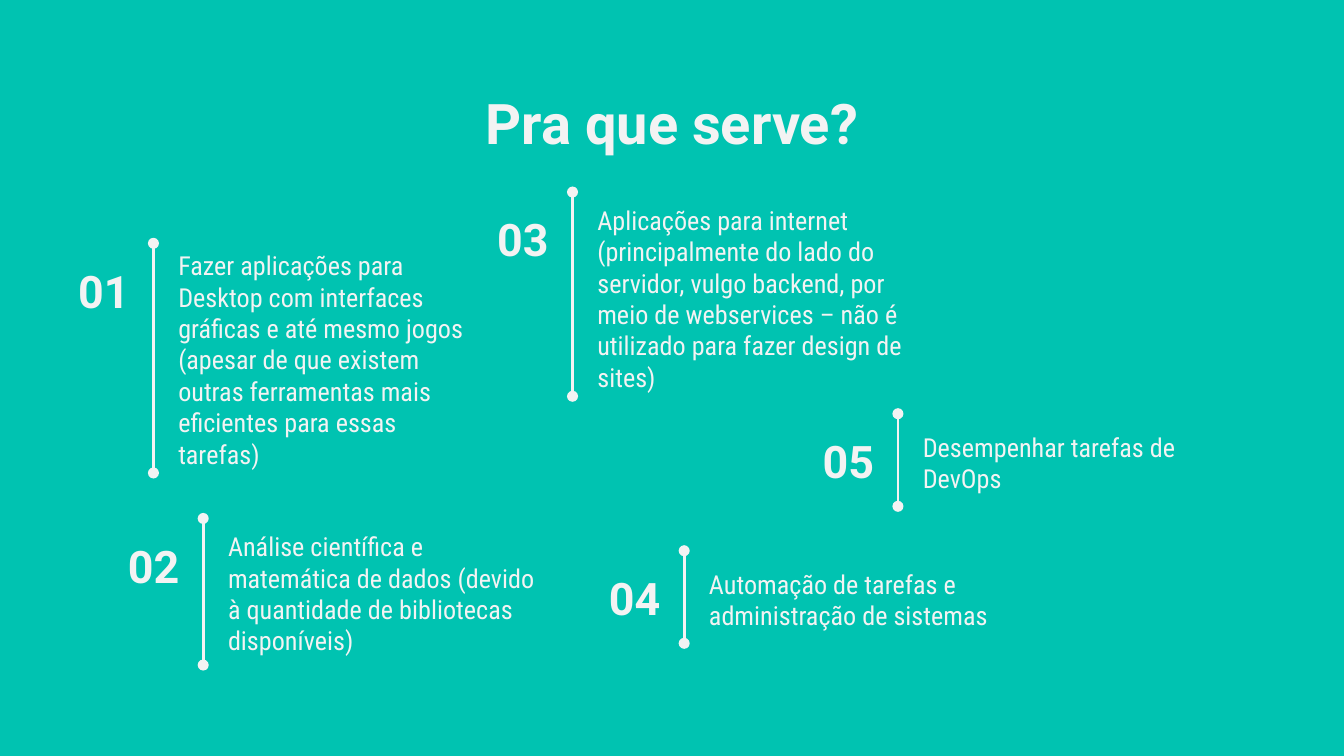
from lxml.etree import SubElement
from pptx import Presentation
from pptx.dml.color import RGBColor
from pptx.enum.shapes import MSO_CONNECTOR
from pptx.enum.text import MSO_ANCHOR, MSO_AUTO_SIZE, PP_ALIGN
from pptx.oxml.ns import qn
from pptx.util import Cm, Pt

TEAL = "00C3B1"
OFF_WHITE = "F3F3F3"

TITLE_FONT = {"name": "Roboto", "size": Pt(30), "bold": True}
NUMBER_FONT = {"name": "Roboto", "size": Pt(24), "bold": True}
BODY_FONT = {"name": "Roboto Condensed", "size": Pt(14), "bold": False}
FRAME = {
    "word_wrap": True,
    "auto_size": MSO_AUTO_SIZE.NONE,
    "margin_left": Cm(0.25),
    "margin_top": Cm(0.25),
    "margin_right": Cm(0.25),
    "margin_bottom": Cm(0.25),
}

# Each use: number, text, box (left, top, rule height), text offset, text height, indent
USES = [
    ("01", "Fazer aplicações para Desktop com interfaces gráficas e até mesmo jogos "
           "(apesar de que existem outras ferramentas mais eficientes para essas tarefas)",
     (1.02, 4.6, 4.34), -0.13, 2.46, 0.41),
    ("02", "Análise científica e matemática de dados (devido à quantidade de "
           "bibliotecas disponíveis)",
     (1.96, 9.8, 2.77), -0.02, 1.8, 0),
    ("03", "Aplicações para internet (principalmente do lado do servidor, vulgo backend, "
           "por meio de webservices – não é utilizado para fazer design de sites)",
     (8.94, 3.63, 3.86), -0.02, 2.24, 0),
    ("04", "Automação de tarefas e administração de sistemas",
     (11.05, 10.41, 1.75), 0.08, 2.08, 0),
    ("05", "Desempenhar tarefas de DevOps",
     (15.09, 7.82, 1.75), 0.08, 2.08, 0),
]


def color(hex_value):
    return RGBColor.from_string(hex_value)


def apply_format(target, values):
    for attribute, value in values.items():
        setattr(target, attribute, value)


def write(holder, text, font, align, anchor):
    frame = holder.text_frame
    apply_format(frame, FRAME | {"vertical_anchor": anchor})
    paragraph = frame.paragraphs[0]
    paragraph.alignment = align
    run = paragraph.add_run()
    run.text = text
    apply_format(run.font, font)
    run.font.color.rgb = color(OFF_WHITE)
    return paragraph


def add_title(slide, left, top, width, height):
    title = slide.shapes.title
    apply_format(title, {"left": Cm(left), "top": Cm(top),
                         "width": Cm(width), "height": Cm(height)})
    write(title, "Pra que serve?", TITLE_FONT, PP_ALIGN.CENTER, MSO_ANCHOR.TOP)


def add_rule(slide, x, top, height):
    rule = slide.shapes.add_connector(
        MSO_CONNECTOR.STRAIGHT, Cm(x), Cm(top), Cm(x), Cm(top + height))
    rule.line.width = Pt(1.5)
    rule.line.color.rgb = color(OFF_WHITE)
    # Round dots at both ends
    outline = rule.line._get_or_add_ln()
    for end in ("a:headEnd", "a:tailEnd"):
        SubElement(outline, qn(end), type="oval", w="med", len="med")
    SubElement(rule._element.spPr, qn("a:effectLst"))


def add_use(slide, number, text, box, text_offset, text_height, indent):
    left, top, height = box
    # Number, left of the rule
    number_box = slide.shapes.add_textbox(Cm(left), Cm(top + 0.3), Cm(1.68), Cm(1.17))
    write(number_box, number, NUMBER_FONT, PP_ALIGN.RIGHT, MSO_ANCHOR.MIDDLE)
    # Dotted-end rule
    add_rule(slide, left + 1.88, top, height)
    # Description, right of the rule
    description = slide.shapes.add_textbox(
        Cm(left + 2.1 - indent), Cm(top + text_offset), Cm(6.5), Cm(text_height))
    paragraph = write(description, text, BODY_FONT, PP_ALIGN.LEFT, MSO_ANCHOR.TOP)
    if indent:
        paragraph._p.get_or_add_pPr().set("marL", str(Cm(indent)))


def main():
    deck = Presentation()
    deck.slide_width, deck.slide_height = Cm(25.4), Cm(14.29)
    slide = deck.slides.add_slide(deck.slide_layouts[5])
    slide.background.fill.solid()
    slide.background.fill.fore_color.rgb = color(TEAL)
    add_title(slide, 2, 1.42, 21.4, 1.6)
    for use in USES:
        add_use(slide, *use)
    deck.save("out.pptx")


if __name__ == "__main__":
    main()
